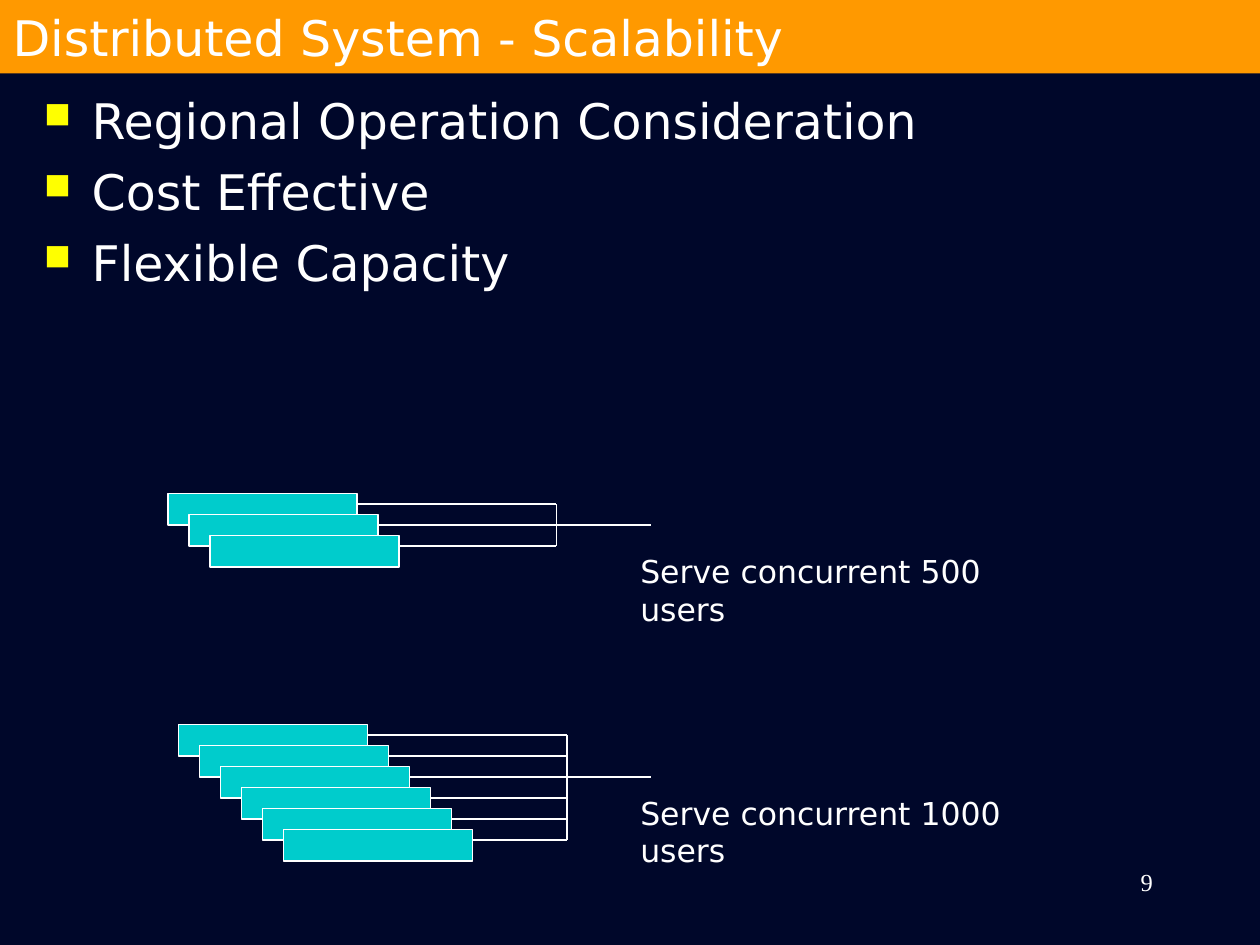
from lxml import etree
from pptx import Presentation, util as u
from pptx.dml.color import RGBColor
from pptx.enum import shapes, text
from pptx.oxml import ns

WHITE, ORANGE, TEAL, NAVY, YELLOW = "FFFFFF", "FF9900", "00CCCC", "00072A", "FFFF00"
CELL = u.Inches(1) / 12  # grid of 120 columns by 90 rows


def paint(fmt, color):
    """Give a fill a solid colour."""
    fmt.solid()
    fmt.fore_color.rgb = RGBColor.from_string(color)


def write(frame, lines, size, font="DejaVu Sans", align=text.PP_ALIGN.LEFT):
    """Fill a text frame with uniformly formatted paragraphs."""
    frame.word_wrap = True
    frame.auto_size = text.MSO_AUTO_SIZE.NONE
    frame.text = "\n".join(lines)
    for paragraph in frame.paragraphs:
        paragraph.alignment = align
        for run in paragraph.runs:
            run.font.size, run.font.name = u.Pt(size), font
            paint(run.font.fill, WHITE)


prs = Presentation()
prs.slide_width, prs.slide_height = u.Inches(10), u.Inches(7.5)
slide = prs.slides.add_slide(prs.slide_layouts[5])
paint(slide.background.fill, NAVY)

# Title band
title = slide.shapes.title
title.left, title.top, title.width, title.height = 0, 0, prs.slide_width, int(7 * CELL)
paint(title.fill, ORANGE)
write(title.text_frame, ["Distributed System - Scalability"], 28)
title.text_frame.vertical_anchor = text.MSO_ANCHOR.MIDDLE

# Bulleted benefits
benefits = slide.shapes.add_textbox(*[int(n * CELL) for n in (3, 8, 114, 24)]).text_frame
write(benefits, ["Regional Operation Consideration", "Cost Effective", "Flexible Capacity"], 28)
for number, benefit in enumerate(benefits.paragraphs):
    benefit.space_before = u.Pt(7 if number else 0)
    props = benefit._p.get_or_add_pPr()
    props.set("marL", str(u.Inches(0.38)))
    props.set("indent", str(-u.Inches(0.38)))
    bullet_color = etree.SubElement(props, ns.qn("a:buClr"))
    etree.SubElement(bullet_color, ns.qn("a:srgbClr"), val=YELLOW)
    etree.SubElement(props, ns.qn("a:buSzPct"), val="75000")
    etree.SubElement(props, ns.qn("a:buChar"), char="■")

# Page number
page = slide.shapes.add_textbox(*[int(n * CELL) for n in (86, 82, 25, 6)])
write(page.text_frame, ["9"], 14, "Times New Roman", text.PP_ALIGN.RIGHT)

# Server clusters: column, row, servers, server on the outgoing line, label row, label
clusters = [
    (16, 47, 3, 1, 52, "Serve concurrent 500 users"),
    (17, 69, 6, 2, 75, "Serve concurrent 1000 users"),
]
for col, row, count, outlet, label_row, label in clusters:
    bus = col + 37
    wires = [(bus, row + 1, bus, row + 2 * count - 1)]
    for i in range(count):
        x, y = col + 2 * i, row + 2 * i
        server = slide.shapes.add_shape(
            shapes.MSO_SHAPE.RECTANGLE, *[int(n * CELL) for n in (x, y, 18, 3)])
        server.shadow.inherit = False
        paint(server.fill, TEAL)
        paint(server.line.fill, WHITE)
        server.line.width = u.Pt(1)
        wires.append((x + 18, y + 1, 62 if i == outlet else bus, y + 1))

    # Wires from each server, and the vertical bus
    for ends in wires:
        wire = slide.shapes.add_connector(
            shapes.MSO_CONNECTOR.STRAIGHT, *[int(n * CELL) for n in ends])
        paint(wire.line.fill, WHITE)
        wire.line.width = u.Pt(1)
        etree.SubElement(wire._element.spPr, ns.qn("a:effectLst"))

    capacity = slide.shapes.add_textbox(
        *[int(n * CELL) for n in (59.8, label_row, 41, 4.8)])
    write(capacity.text_frame, [label], 18)

prs.save("out.pptx")
